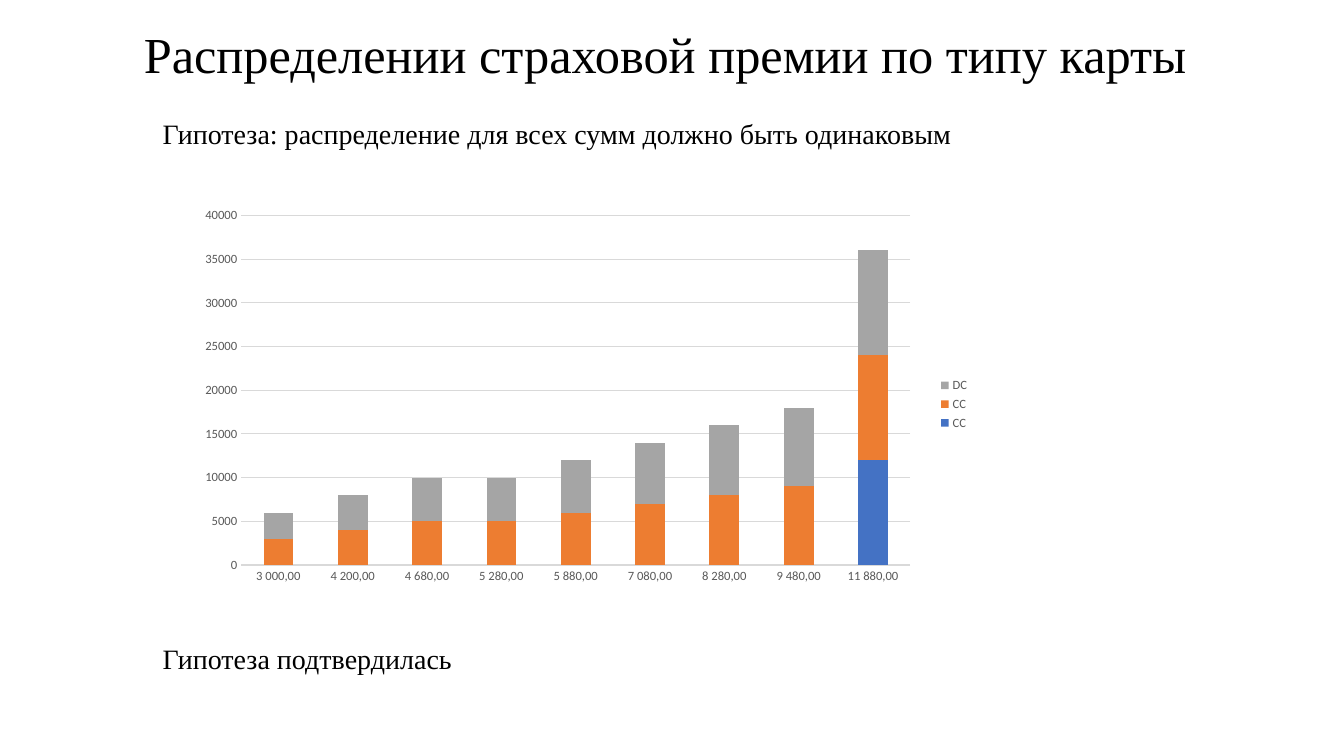
"""Build a slide with a stacked column chart of insurance premium by card type."""
from lxml import etree
from pptx import Presentation
from pptx.chart.data import CategoryChartData
from pptx.dml.color import RGBColor
from pptx.enum.chart import XL_CHART_TYPE, XL_LEGEND_POSITION, XL_TICK_MARK
from pptx.enum.text import MSO_ANCHOR, PP_ALIGN
from pptx.oxml.ns import qn
from pptx.util import Cm, Pt

COLORS = {"text": "000000", "label": "595959", "grid": "D9D9D9",
          "blue": "4472C4", "orange": "ED7D31", "gray": "A5A5A5"}


def add_text(slide, text, left, top, width, height, size=20,
             align=PP_ALIGN.LEFT, anchor=MSO_ANCHOR.TOP, before=10):
    tf = slide.shapes.add_textbox(Cm(left), Cm(top), Cm(width), Cm(height)).text_frame
    tf.word_wrap = True
    tf.vertical_anchor = anchor
    p = tf.paragraphs[0]
    p.alignment = align
    p.line_spacing = 0.9
    p.space_before = Pt(before)
    r = p.add_run()
    r.text = text
    r.font.name = "Times New Roman"
    r.font.size = Pt(size)
    r.font.color.rgb = RGBColor.from_string(COLORS["text"])


prs = Presentation()
prs.slide_width, prs.slide_height = Cm(33.87), Cm(19.05)
s = prs.slides.add_slide(prs.slide_layouts[6])

premiums = [3000, 4200, 4680, 5280, 5880, 7080, 8280, 9480, 11880]
rounded = [round(v, -3) for v in premiums]
data = CategoryChartData()
data.categories = [f"{v:,}".replace(",", " ") + ",00" for v in premiums]
data.add_series("СC", [None] * (len(rounded) - 1) + rounded[-1:])
data.add_series("CC", rounded)
data.add_series("DC", rounded)
chart_w, chart_h = 19.76, 10.01
chart = s.shapes.add_chart(XL_CHART_TYPE.COLUMN_STACKED, Cm(4.93), Cm(5.18),
                           Cm(chart_w), Cm(chart_h), data).chart
chart.has_title = False
chart.font.name = "Calibri"
chart.font.size = Pt(9)
chart.font.color.rgb = RGBColor.from_string(COLORS["label"])
chart.has_legend = True
chart.legend.position = XL_LEGEND_POSITION.RIGHT
chart.legend.include_in_layout = False

plot = chart.plots[0]
plot.gap_width = 150
plot.overlap = 100
plot.vary_by_categories = False
for series, color in zip(plot.series, ("blue", "orange", "gray")):
    series.format.fill.solid()
    series.format.fill.fore_color.rgb = RGBColor.from_string(COLORS[color])

for axis in (chart.category_axis, chart.value_axis):
    axis.major_tick_mark = axis.minor_tick_mark = XL_TICK_MARK.NONE
    axis.format.line.fill.background()
axis = chart.value_axis
axis.minimum_scale, axis.maximum_scale, axis.major_unit = 0, 40000, 5000
axis.has_major_gridlines = True
line = axis.major_gridlines.format.line
line.width = Pt(0.75)
line.color.rgb = RGBColor.from_string(COLORS["grid"])

area = chart.element.find(".//" + qn("c:plotArea"))
layout = area.find(qn("c:layout"))
if layout is None:
    layout = etree.Element(qn("c:layout"))
    area.insert(0, layout)
manual = etree.SubElement(layout, qn("c:manualLayout"))
for tag, val in (("layoutTarget", "inner"), ("xMode", "edge"), ("yMode", "edge"),
                 ("x", 1.15 / chart_w), ("y", 0.25 / chart_h),
                 ("w", 16.86 / chart_w), ("h", 8.81 / chart_h)):
    etree.SubElement(manual, qn("c:" + tag)).set("val", str(val))

add_text(s, "Распределении страховой премии по типу карты", 2.16, 0.43, 29.21, 2.03,
         size=36, align=PP_ALIGN.CENTER, anchor=MSO_ANCHOR.MIDDLE, before=0)
for text, top in (("Гипотеза: распределение для всех сумм должно быть одинаковым", 2.91),
                  ("Гипотеза подтвердилась", 16.13)):
    add_text(s, text, 3.85, top, 25.83, 1.8)

prs.save("out.pptx")
